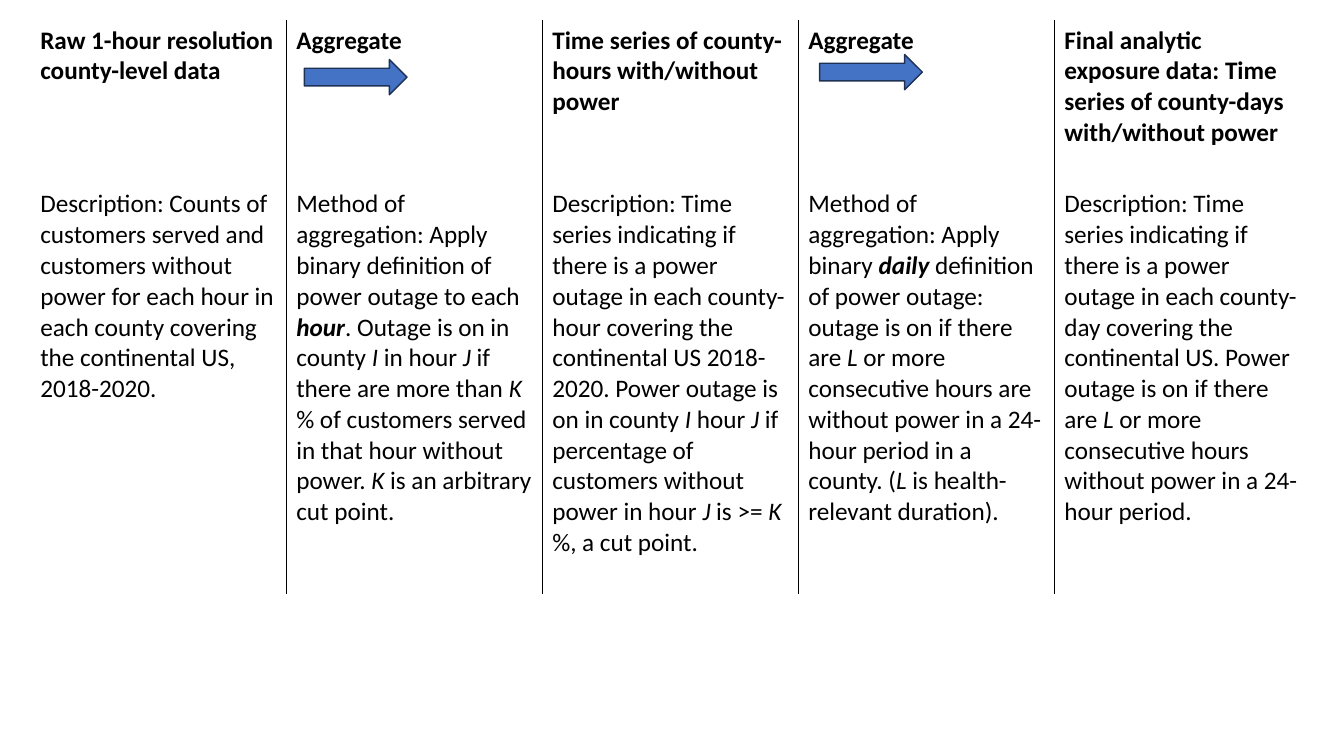
"""Build a slide with a five-step table on aggregating power outage data."""
from lxml import etree
from pptx import Presentation
from pptx.dml.color import RGBColor
from pptx.enum import shapes
from pptx.oxml import ns
from pptx.util import Pt


def color(code):
    return RGBColor.from_string(code)


def border(cell, side, code=None):
    props = cell._tc.get_or_add_tcPr()
    line = etree.SubElement(props, ns.qn("a:ln" + side), w=str(Pt(1)))
    if code:
        fill = etree.SubElement(line, ns.qn("a:solidFill"))
        etree.SubElement(fill, ns.qn("a:srgbClr"), val=code)
    else:
        etree.SubElement(line, ns.qn("a:noFill"))


heads = [
    "Raw 1-hour resolution county-level data",
    "Aggregate",
    "Time series of county-hours with/without  power",
    "Aggregate",
    "Final analytic exposure data: Time series of county-days with/without power",
]
bodies = [
    "Description: Counts of customers served and customers without power for each "
    "hour in each county covering the continental US, 2018-2020.",
    "Method of aggregation: Apply binary definition of power outage to each |hour|. "
    "Outage is on in county |I| in hour |J |if there are more than |K |% of customers "
    "served in that hour without power. |K| is an arbitrary cut point.",
    "Description: Time series indicating if there is a power outage in each "
    "county-hour covering the continental US 2018-2020. Power outage is on in county "
    "|I| hour |J| if percentage of customers without power in hour |J| is >= |K| %, "
    "a cut point.",
    "Method of aggregation: Apply binary |daily| definition of power outage: outage "
    "is on if there are |L| or more consecutive hours are without power in a 24-hour "
    "period in a county. (|L| is health-relevant duration).",
    "Description: Time series indicating if there is a power outage in each "
    "county-day covering the continental US. Power outage is on if there are |L| or "
    "more consecutive hours without power in a 24-hour period.",
]
strong = ("hour", "daily")

deck = Presentation()
deck.slide_width, deck.slide_height = Pt(960), Pt(540)
slide = deck.slides.add_slide(deck.slide_layouts[6])

count = len(heads)
table = slide.shapes.add_table(
    2, count, Pt(21.6), Pt(14.4), Pt(914.4), Pt(410)).table
table.first_row = False
table.horz_banding = False
table.rows[0].height, table.rows[1].height = Pt(117), Pt(293)
for col in table.columns:
    col.width = Pt(914.4 / count)

for row, texts in enumerate((heads, bodies)):
    for col, words in enumerate(texts):
        cell = table.cell(row, col)
        border(cell, "L", "000000" if col > 0 else None)
        border(cell, "R", "000000" if col < count - 1 else None)
        border(cell, "T")
        border(cell, "B")
        cell.fill.background()
        para = cell.text_frame.paragraphs[0]
        for part, piece in enumerate(words.split("|")):
            run = para.add_run()
            run.text = piece
            run.font.name = "Calibri"
            run.font.size = Pt(18)
            run.font.color.rgb = color("000000")
            run.font.bold = row == 0 or piece in strong
            run.font.italic = part % 2 == 1

for left, top in ((217.4, 42.5), (585.4, 38.9)):
    arrow = slide.shapes.add_shape(
        shapes.MSO_SHAPE.RIGHT_ARROW, Pt(left), Pt(top), Pt(73.4), Pt(25.2))
    arrow.shadow.inherit = False
    arrow.fill.solid()
    arrow.fill.fore_color.rgb = color("4472C4")
    arrow.line.color.rgb = color("1E3256")
    arrow.line.width = Pt(1)

deck.save("out.pptx")
